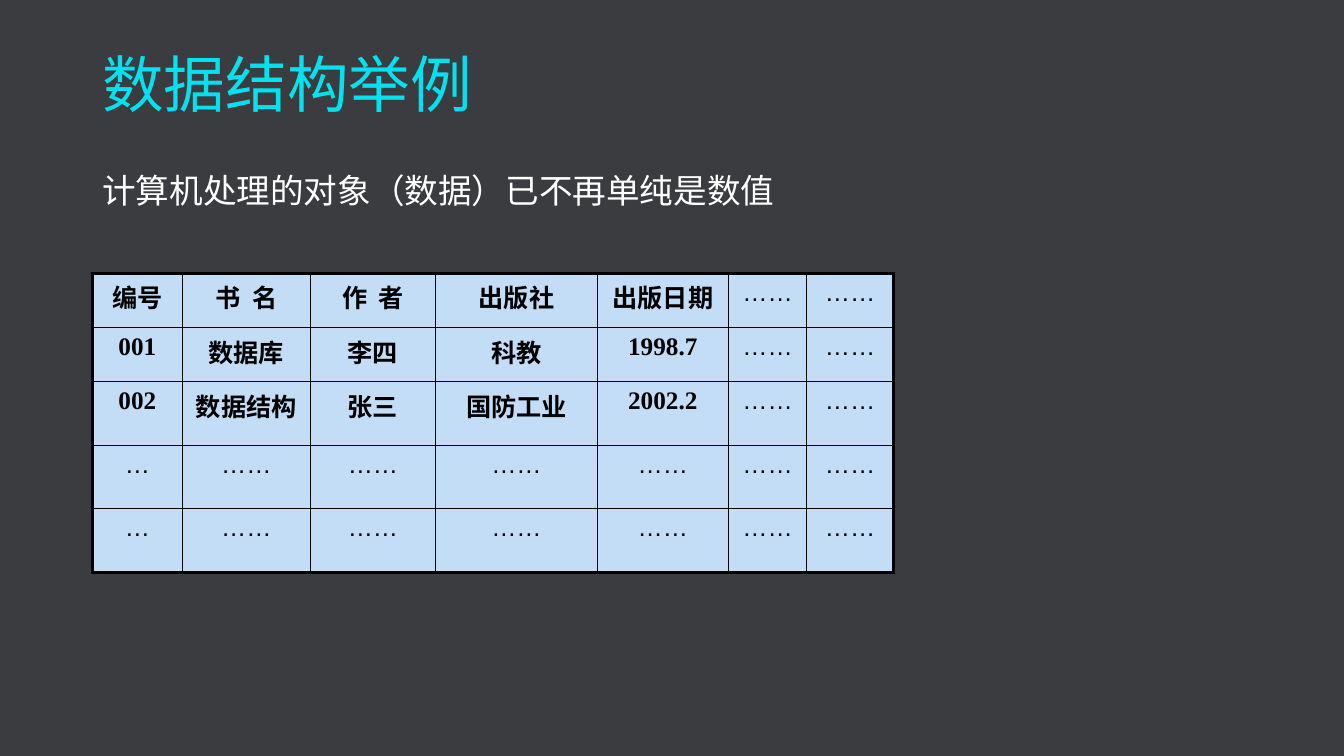
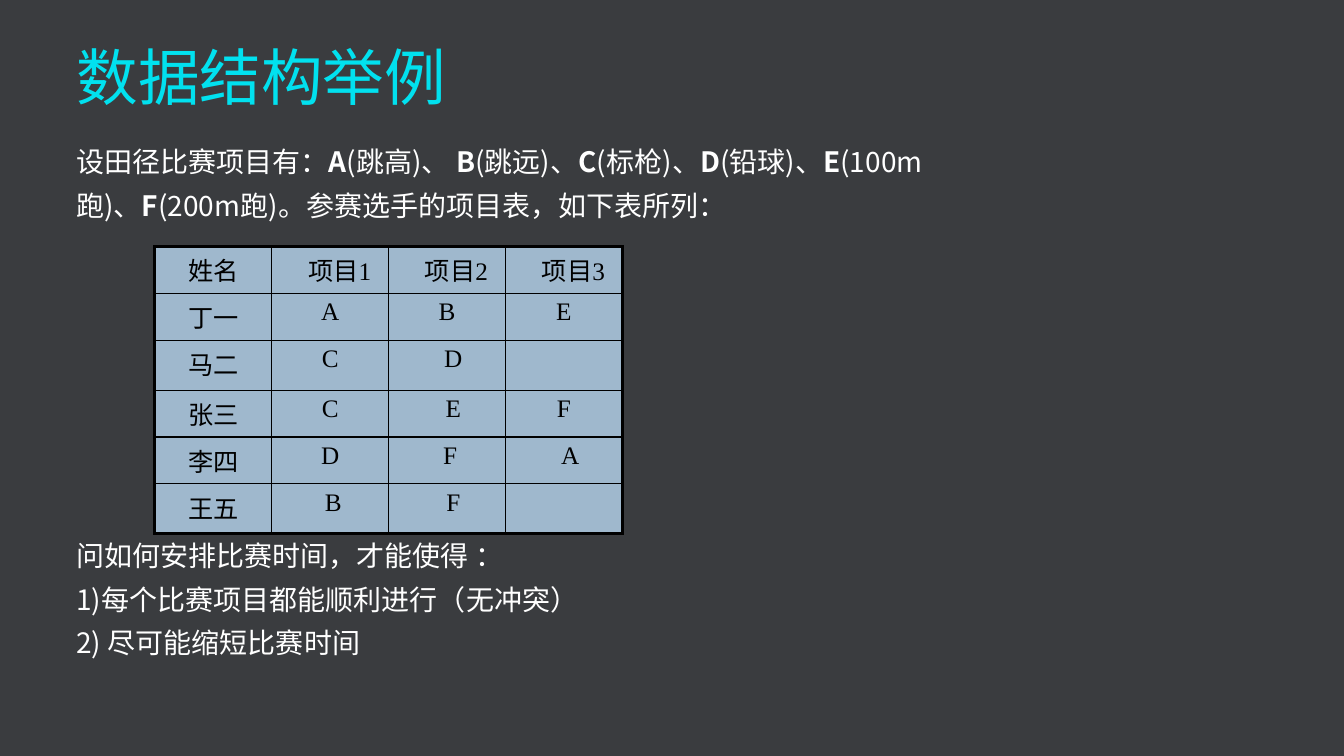
from lxml.etree import SubElement
from pptx import Presentation
from pptx.dml.color import RGBColor
from pptx.enum.text import PP_ALIGN
from pptx.oxml import parse_xml
from pptx.oxml.ns import nsdecls, qn
from pptx.util import Pt

HUE = {"back": "3A3C3F", "title": "01E1EF", "body": "FFFFFF", "ink": "000000",
       "books": "C3DDF7", "games": "9FB8CD"}
SANS, SERIF, DOTS = "Noto Sans CJK SC", "Times New Roman", "Arial"


def add_text(slide, box, lines, size, hue, pitch=1.0):
    """Add a text box; words between asterisks are bold."""
    frame = slide.shapes.add_textbox(*map(Pt, box)).text_frame
    frame.word_wrap = True
    for i, line in enumerate(lines):
        para = frame.paragraphs[0] if i == 0 else frame.add_paragraph()
        para.line_spacing = pitch
        for j, part in enumerate(line.split("*")):
            run = para.add_run()
            run.text = part
            font = run.font
            font.size, font.name, font.bold = Pt(size), SANS, j % 2 == 1
            font.color.rgb = RGBColor.from_string(HUE[hue])
            SubElement(font._element, qn("a:ea"), typeface=SANS)
    return frame


def add_grid(slide, left, top, wides, highs, rows, hue, bold):
    """Add a filled table with thin inner lines and a thick frame."""
    shape = slide.shapes.add_table(len(rows), len(wides), Pt(left), Pt(top),
                                   Pt(sum(wides)), Pt(sum(highs)))
    table = shape.table
    for col, wide in zip(table.columns, wides):
        col.width = Pt(wide)
    for row, high in zip(table.rows, highs):
        row.height = Pt(high)
    for r, row in enumerate(rows):
        for c, text in enumerate(row):
            cell = table.cell(r, c)
            cell.fill.solid()
            cell.fill.fore_color.rgb = RGBColor.from_string(HUE[hue])
            edges = {"L": c == 0, "R": c == len(wides) - 1,
                     "T": r == 0, "B": r == len(rows) - 1}
            for i, (side, outer) in enumerate(edges.items()):
                width = Pt(2.25 if outer else 1)
                cell._tc.tcPr.insert(i, parse_xml(
                    f'<a:ln{side} {nsdecls("a")} w="{width}"><a:solidFill>'
                    f'<a:srgbClr val="{HUE["ink"]}"/></a:solidFill></a:ln{side}>'))
            cell.text_frame.text = text
            para = cell.text_frame.paragraphs[0]
            para.alignment = PP_ALIGN.CENTER
            for run in para.runs:
                dots = text.startswith("…")
                font = run.font
                font.size, font.name = Pt(18), DOTS if dots else SERIF
                font.bold = bold and not dots
                font.color.rgb = RGBColor.from_string(HUE["ink"])
                SubElement(font._element, qn("a:ea"), typeface=SANS)
    return table


# Shared setup
prs = Presentation()
prs.slide_width, prs.slide_height = Pt(960), Pt(540)
fill = prs.slide_master.background.fill
fill.solid()
fill.fore_color.rgb = RGBColor.from_string(HUE["back"])
blank = prs.slide_layouts[6]
title = ["数据结构举例"]

# Slide 1: book catalogue
slide = prs.slides.add_slide(blank)
add_text(slide, (66, 118, 845, 60), ["计算机处理的对象（数据）已不再单纯是数值"],
         24, "body")
more = ["……"] * 2
books = [
    ["编号", "书  名", "作  者", "出版社", "出版日期"] + more,
    ["001", "数据库", "李四", "科教", "1998.7"] + more,
    ["002", "数据结构", "张三", "国防工业", "2002.2"] + more,
] + [["…"] + ["……"] * 6] * 2
add_grid(slide, 66, 195.4, [64.3, 91.4, 89.5, 115.5, 93.6, 56, 62],
         [38.7, 38.7, 45.3, 45.3, 45.3], books, "books", True)
add_text(slide, (66, 29, 828, 104), title, 44, "title")

# Slide 2: athletes and their events
slide = prs.slides.add_slide(blank)
add_text(slide, (47.5, 24, 841, 64), title, 44, "title")
frame = add_text(slide, (47.5, 92.5, 657, 397), [
    "设田径比赛项目有：*A*(跳高)、 *B*(跳远)、*C*(标枪)、*D*(铅球)、"
    "*E*(100m跑)、*F*(200m跑)。参赛选手的项目表，如下表所列：",
    "问如何安排比赛时间，才能使得 ：",
    "1)每个比赛项目都能顺利进行（无冲突）",
    "2) 尽可能缩短比赛时间",
], 20, "body", 1.3)
frame.paragraphs[1].space_before = Pt(219)  # room for the table

games = [
    ["姓名", "项目1", "项目2", "项目3"],
    ["丁一", "A", "B", "E"],
    ["马二", "C", "D", ""],
    ["张三", "C", "E", "F"],
    ["李四", "D", "F", "A"],
    ["王五", "B", "F", ""],
]
table = add_grid(slide, 110.6, 176, [83.5] * 4, [33.5, 33.5, 35.7] * 2,
                 games, "games", False)

# Left indents in points, by row and column
shifts = {(0, 1): 13.5, (0, 2): 13.5, (0, 3): 13.5, (2, 2): 9, (3, 2): 9,
          (4, 2): 4.5, (4, 3): 9, (5, 1): 4.5, (5, 2): 9}
for (r, c), shift in shifts.items():
    para = table.cell(r, c).text_frame.paragraphs[0]
    para._p.get_or_add_pPr().set("marL", str(Pt(shift)))

prs.save("out.pptx")
